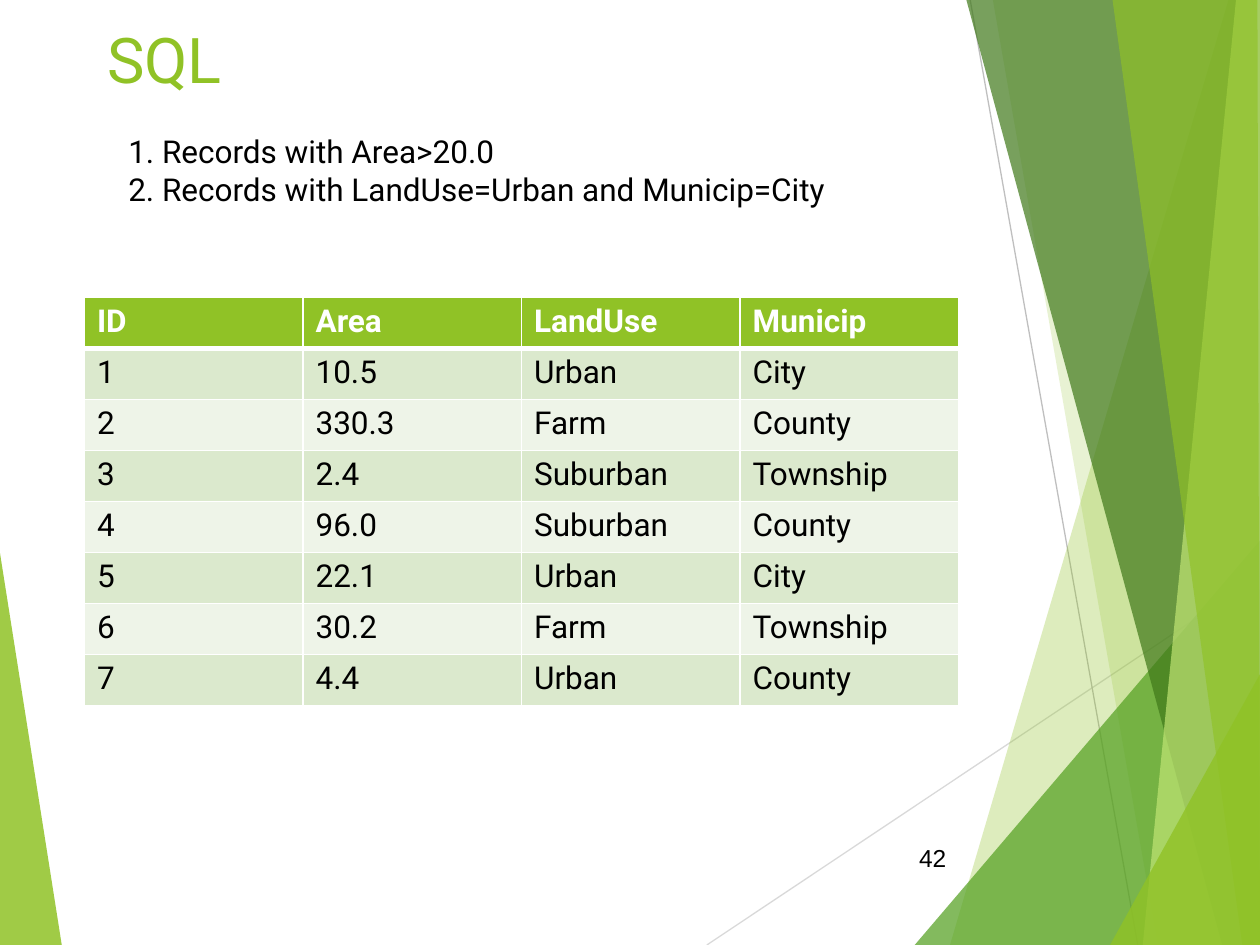
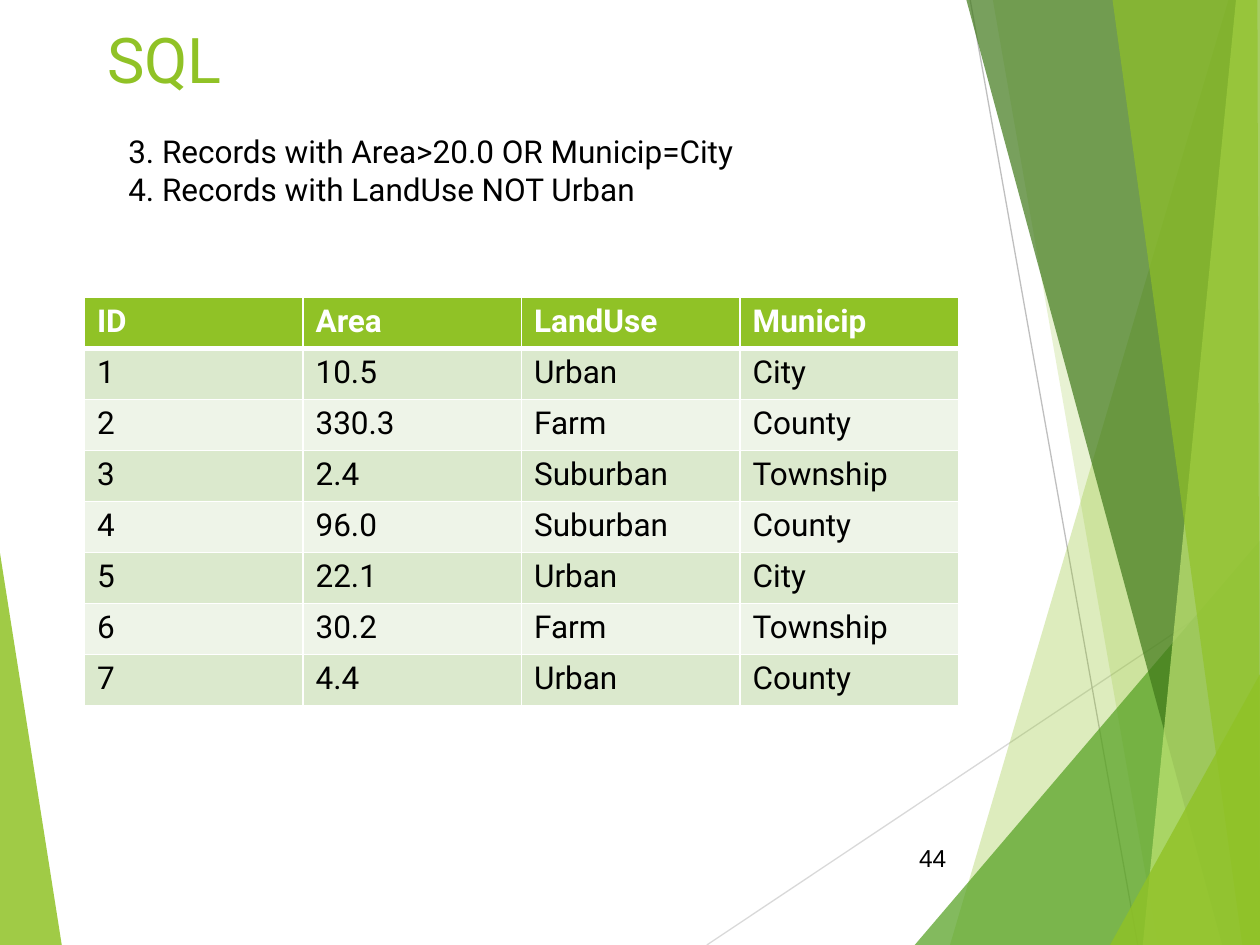
"""Build two SQL query slides with a land records table and shared green bands."""
from lxml.etree import SubElement
from pptx import Presentation
from pptx.dml.color import RGBColor
from pptx.enum.shapes import MSO_CONNECTOR
from pptx.enum.text import MSO_ANCHOR, MSO_AUTO_SIZE, PP_ALIGN
from pptx.oxml.ns import qn
from pptx.util import Inches, Pt

COLORS = {
    "green": "90C226", "leaf": "54A021", "forest": "3F7819", "lime": "C0E474",
    "odd_row": "DBE9CD", "even_row": "EEF4E8", "white": "FFFFFF", "black": "000000",
    "light_gray": "D9D9D9", "gray": "BFBFBF",
}
FONT = "Roboto"
WIDTH, HEIGHT = 10, 7.5

SLIDES = [
    {"title": "SQL", "number": "42", "queries": [
        "1. Records with Area>20.0",
        "2. Records with LandUse=Urban and Municip=City"]},
    {"title": "SQL", "number": "44", "queries": [
        "3. Records with Area>20.0 OR Municip=City",
        "4. Records with LandUse NOT Urban"]},
]
RECORDS = [
    ("ID", "Area", "LandUse", "Municip"),
    ("1", "10.5", "Urban", "City"),
    ("2", "330.3", "Farm", "County"),
    ("3", "2.4", "Suburban", "Township"),
    ("4", "96.0", "Suburban", "County"),
    ("5", "22.1", "Urban", "City"),
    ("6", "30.2", "Farm", "Township"),
    ("7", "4.4", "Urban", "County"),
]
LEFT_BAND = ("green", 85, [(0, 4.39), (0.49, HEIGHT), (0, HEIGHT)])
RAYS = [
    ("light_gray", (5.61, HEIGHT), (WIDTH, 4.57)),
    ("gray", (7.7, 0), (9.03, HEIGHT)),
]
RIGHT_BANDS = [
    ("green", 30, [(9.75, 0), (7.54, HEIGHT), (WIDTH, HEIGHT), (WIDTH, 0)]),
    ("green", 20, [(7.88, 0), (9.19, HEIGHT), (WIDTH, HEIGHT), (WIDTH, 0)]),
    ("leaf", 72, [(7.26, HEIGHT), (WIDTH, 4.29), (WIDTH, HEIGHT)]),
    ("forest", 70, [(7.67, 0), (9.7, HEIGHT), (WIDTH, HEIGHT), (WIDTH, 0)]),
    ("lime", 70, [(9.81, 0), (9.07, HEIGHT), (WIDTH, HEIGHT), (WIDTH, 0)]),
    ("green", 65, [(8.83, 0), (9.86, HEIGHT), (WIDTH, HEIGHT), (9.98, 0)]),
    ("green", 80, [(8.81, HEIGHT), (WIDTH, 5.35), (WIDTH, HEIGHT)]),
]


def color(name):
    return RGBColor.from_string(COLORS[name])


def inches(*values):
    return [Inches(value) for value in values]


def add_band(shapes, fill, opacity, points):
    start, *rest = [inches(*point) for point in points]
    builder = shapes.build_freeform(*start, scale=1.0)
    builder.add_line_segments(rest, close=True)
    band = builder.convert_to_shape()
    band.shadow.inherit = False
    band.fill.solid()
    band.fill.fore_color.rgb = color(fill)
    band.line.fill.background()
    fill_color = band.element.spPr.find(f".//{qn('a:srgbClr')}")
    SubElement(fill_color, qn("a:alpha"), val=str(opacity * 1000))


def add_ray(shapes, stroke, start, end):
    ray = shapes.add_connector(MSO_CONNECTOR.STRAIGHT, *inches(*start, *end))
    ray.line.color.rgb = color(stroke)
    ray.line.width = Pt(0.75)
    SubElement(ray.element.spPr, qn("a:effectLst"))


def decorate_layout(layout, slide):
    group = slide.shapes.add_group_shape()
    add_band(group.shapes, *LEFT_BAND)
    for ray in RAYS:
        add_ray(group.shapes, *ray)
    for band in RIGHT_BANDS:
        add_band(group.shapes, *band)
    for number, properties in enumerate(group.element.iter(qn("p:cNvPr")), 100):
        properties.set("id", str(number))
    layout.shapes.element.append(group.element)


def format_paragraph(paragraph, size, fill="black", font=FONT, bold=False, align=PP_ALIGN.LEFT):
    paragraph.alignment = align
    paragraph.font.name = font
    paragraph.font.size = Pt(size)
    paragraph.font.bold = bold
    paragraph.font.color.rgb = color(fill)


def set_title(slide, text):
    title = slide.shapes.title
    title.left, title.top, title.width, title.height = inches(0.75, 0.11, 8.5, 1.25)
    frame = title.text_frame
    frame.text = text
    frame.auto_size = MSO_AUTO_SIZE.NONE
    frame.vertical_anchor = MSO_ANCHOR.TOP
    format_paragraph(frame.paragraphs[0], 36, "green")


def add_text(slide, box, text, size, **style):
    frame = slide.shapes.add_textbox(*inches(*box)).text_frame
    frame.word_wrap = True
    frame.text = text
    for paragraph in frame.paragraphs:
        format_paragraph(paragraph, size, **style)
    return frame


def set_borders(cell, widths):
    properties = cell._tc.get_or_add_tcPr()
    for side, width in widths.items():
        border = SubElement(properties, qn(f"a:ln{side}"), w=str(Pt(width)))
        fill = SubElement(border, qn("a:solidFill"))
        SubElement(fill, qn("a:srgbClr"), val=COLORS["white"])


def add_records(slide):
    rows, columns = len(RECORDS), len(RECORDS[0])
    table = slide.shapes.add_table(rows, columns, *inches(0.67, 2.36, 6.94, 3.24)).table
    table.horz_banding = False
    for row, record in enumerate(RECORDS):
        header = row == 0
        fill = "green" if header else "odd_row" if row % 2 else "even_row"
        widths = {"L": 1, "R": 1, "T": 3 if row == 1 else 1, "B": 3 if header else 1}
        for column, value in enumerate(record):
            cell = table.cell(row, column)
            cell.text = value
            set_borders(cell, widths)
            cell.fill.solid()
            cell.fill.fore_color.rgb = color(fill)
            format_paragraph(cell.text_frame.paragraphs[0], 18,
                             "white" if header else "black", bold=header)


def main():
    presentation = Presentation()
    presentation.slide_width, presentation.slide_height = inches(WIDTH, HEIGHT)
    layout = presentation.slide_layouts.get_by_name("Title Only")
    for index, content in enumerate(SLIDES):
        slide = presentation.slides.add_slide(layout)
        if index == 0:
            decorate_layout(layout, slide)
        set_title(slide, content["title"])
        add_records(slide)
        number = add_text(slide, (7.05, 6.61, 0.56, 0.4), content["number"], 14,
                          font="Arial", align=PP_ALIGN.RIGHT)
        number.vertical_anchor = MSO_ANCHOR.MIDDLE
        queries = add_text(slide, (0.92, 1, 6.33, 0.71), "\n".join(content["queries"]), 18)
        queries.auto_size = MSO_AUTO_SIZE.SHAPE_TO_FIT_TEXT
    presentation.save("out.pptx")


main()
